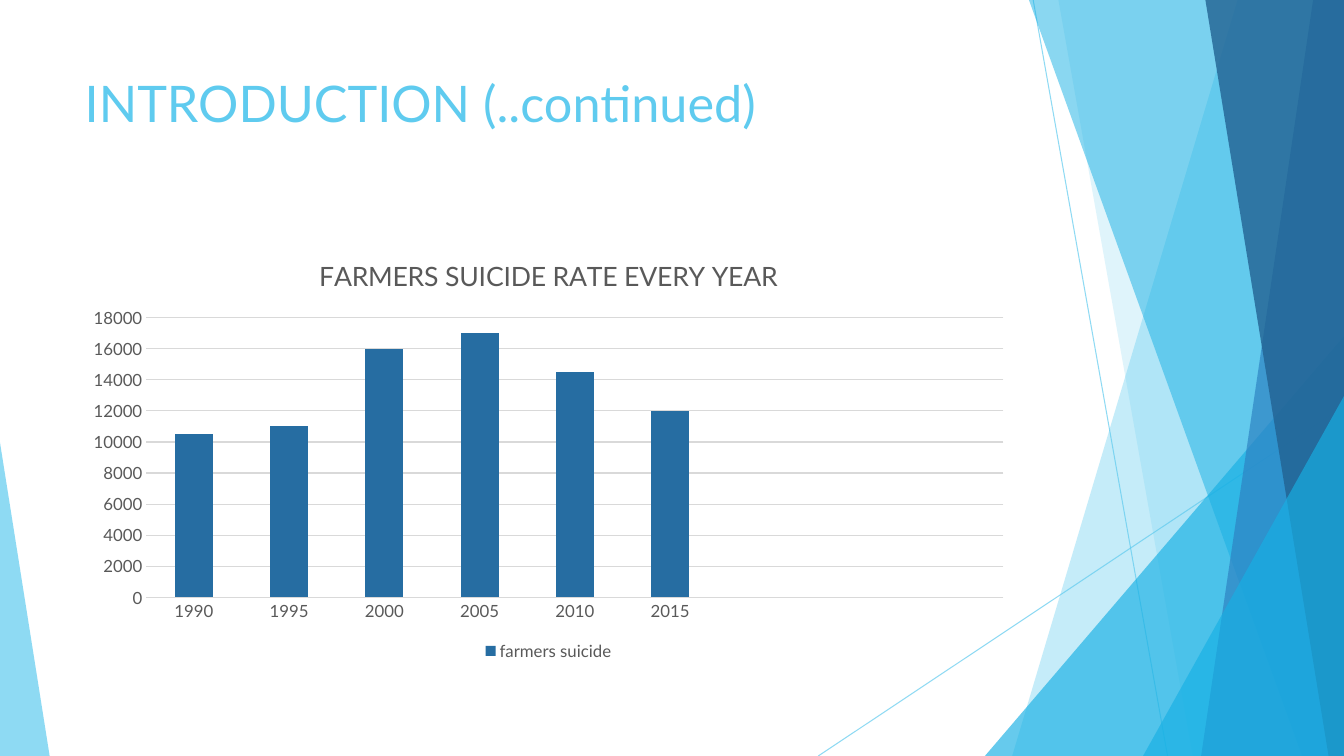
from dataclasses import dataclass

import pptx
import pptx.chart.data
import pptx.dml.color
import pptx.enum.chart
import pptx.enum.shapes
import pptx.enum.text
import pptx.oxml
import pptx.oxml.ns
import pptx.util
from pptx.util import Pt

RGBColor = pptx.dml.color.RGBColor
SKY = RGBColor(0x5F, 0xCB, 0xEF)
CYAN = RGBColor(0x17, 0xB0, 0xE4)
BLUE = RGBColor(0x2E, 0x83, 0xC3)
NAVY = RGBColor(0x22, 0x62, 0x92)
BAR_BLUE = RGBColor(0x26, 0x6D, 0xA2)
PALE_BLUE = RGBColor(0xA4, 0xBB, 0xDA)
GRAY = RGBColor(0x59, 0x59, 0x59)
GRID_GRAY = RGBColor(0xD9, 0xD9, 0xD9)
FONT = "Lato"
WIDTH, HEIGHT = 960, 540


@dataclass
class Ray:
    """Thin line across the slide."""
    start: tuple[float, float]
    end: tuple[float, float]


@dataclass
class Panel:
    """Full-height area between a slanted left edge and the right of the slide."""
    top_left: float
    bottom_left: float
    color: RGBColor
    opacity: int


@dataclass
class Corner:
    """Right triangle standing on the bottom of the slide."""
    left: float
    top: float
    width: float
    apex: float
    color: RGBColor
    opacity: int


DECORATION = [
    Ray((738, 0), (834, HEIGHT)),
    Ray((WIDTH, 290), (584.5, HEIGHT)),
    Panel(884, 723, SKY, 36),
    Panel(756, 852, SKY, 20),
    Corner(703.5, 240, 256.5, 1, CYAN, 66),
    Panel(735, 930, CYAN, 50),
    Panel(938, 858, BLUE, 70),
    Panel(861, 949, NAVY, 80),
    Corner(816.5, 283, 143.5, 1, CYAN, 66),
    Corner(0, 316, 35.5, 0, SKY, 70),
]

YEARS = ["1990", "1995", "2000", "2005", "2010", "2015", "", "", ""]
SUICIDES = [10500, 11000, 16000, 17000, 14500, 12000, None, None, None]
NO_VALUES = [None] * len(YEARS)
SERIES = [
    ("farmers suicide", SUICIDES, BAR_BLUE),
    ("Series 2", NO_VALUES, BLUE),
    ("Series 3", NO_VALUES, PALE_BLUE),
]


def set_opacity(element, percent: int) -> None:
    color = element.find(".//" + pptx.oxml.ns.qn("a:srgbClr"))
    color.append(pptx.oxml.parse_xml(
        f'<a:alpha {pptx.oxml.ns.nsdecls("a")} val="{percent * 1000}"/>'))


def draw_ray(slide, ray: Ray) -> None:
    connector = slide.shapes.add_connector(
        pptx.enum.shapes.MSO_CONNECTOR.STRAIGHT,
        *(Pt(value) for value in ray.start + ray.end))
    connector.line.color.rgb = SKY
    connector.line.width = Pt(0.75)
    properties = connector._element.spPr
    set_opacity(properties, 70)
    properties.append(pptx.oxml.parse_xml(
        f'<a:effectLst {pptx.oxml.ns.nsdecls("a")}/>'))


def draw_area(slide, area: Panel | Corner) -> None:
    if isinstance(area, Panel):
        builder = slide.shapes.build_freeform(Pt(area.top_left), 0)
        corners = [(WIDTH, 0), (WIDTH, HEIGHT), (area.bottom_left, HEIGHT)]
        builder.add_line_segments([(Pt(x), Pt(y)) for x, y in corners])
        shape = builder.convert_to_shape()
    else:
        shape = slide.shapes.add_shape(
            pptx.enum.shapes.MSO_SHAPE.ISOSCELES_TRIANGLE, Pt(area.left),
            Pt(area.top), Pt(area.width), Pt(HEIGHT - area.top))
        shape.adjustments[0] = area.apex
    shape.shadow.inherit = False
    shape.fill.solid()
    shape.fill.fore_color.rgb = area.color
    set_opacity(shape._element.spPr, area.opacity)
    shape.line.fill.background()


def style_font(font, size: float, color: RGBColor) -> None:
    font.name = FONT
    font.size = Pt(size)
    font.bold = False
    font.color.rgb = color


def write_title(slide) -> None:
    title = slide.shapes.title
    title.left, title.top, title.width, title.height = (
        Pt(53.3), Pt(48), Pt(677), Pt(104))
    frame = title.text_frame
    frame.text = "INTRODUCTION (..continued)"
    frame.word_wrap = True
    frame.auto_size = pptx.enum.text.MSO_AUTO_SIZE.NONE
    frame.vertical_anchor = pptx.enum.text.MSO_ANCHOR.TOP
    paragraph = frame.paragraphs[0]
    paragraph.alignment = pptx.enum.text.PP_ALIGN.LEFT
    style_font(paragraph.font, 36, SKY)


def add_suicide_chart(slide) -> None:
    data = pptx.chart.data.CategoryChartData()
    data.categories = YEARS
    for name, values, _ in SERIES:
        data.add_series(name, values)
    chart = slide.shapes.add_chart(
        pptx.enum.chart.XL_CHART_TYPE.COLUMN_STACKED,
        Pt(53.3), Pt(170), Pt(677), Pt(305), data).chart
    style_font(chart.font, 12, GRAY)

    # Chart title
    frame = chart.chart_title.text_frame
    frame.text = "FARMERS SUICIDE RATE EVERY YEAR"
    style_font(frame.paragraphs[0].font, 19, GRAY)
    chart.chart_title.include_in_layout = False

    # Columns
    plot = chart.plots[0]
    plot.gap_width, plot.overlap = 150, 100
    plot.vary_by_categories = False
    for series, (_, _, color) in zip(plot.series, SERIES):
        series.format.fill.solid()
        series.format.fill.fore_color.rgb = color

    # Axes
    for axis in (chart.category_axis, chart.value_axis):
        axis.major_tick_mark = pptx.enum.chart.XL_TICK_MARK.NONE
        axis.minor_tick_mark = pptx.enum.chart.XL_TICK_MARK.NONE
        style_font(axis.tick_labels.font, 12, GRAY)
    chart.value_axis.format.line.fill.background()
    chart.value_axis.has_major_gridlines = True
    for line in (chart.category_axis.format.line,
                 chart.value_axis.major_gridlines.format.line):
        line.color.rgb = GRID_GRAY
        line.width = Pt(0.75)

    # Legend, listing only the series that has values
    chart.has_legend = True
    legend = chart.legend
    legend.position = pptx.enum.chart.XL_LEGEND_POSITION.BOTTOM
    legend.include_in_layout = False
    style_font(legend.font, 12, GRAY)
    position = legend._element.find(pptx.oxml.ns.qn("c:legendPos"))
    for index in (2, 1):
        position.addnext(pptx.oxml.parse_xml(
            f'<c:legendEntry {pptx.oxml.ns.nsdecls("c")}>'
            f'<c:idx val="{index}"/><c:delete val="1"/></c:legendEntry>'))


def main() -> None:
    presentation = pptx.Presentation()
    presentation.slide_width, presentation.slide_height = Pt(WIDTH), Pt(HEIGHT)
    slide = presentation.slides.add_slide(presentation.slide_layouts[5])
    for item in DECORATION:
        if isinstance(item, Ray):
            draw_ray(slide, item)
        else:
            draw_area(slide, item)
    write_title(slide)
    add_suicide_chart(slide)
    presentation.save("out.pptx")


if __name__ == "__main__":
    main()
